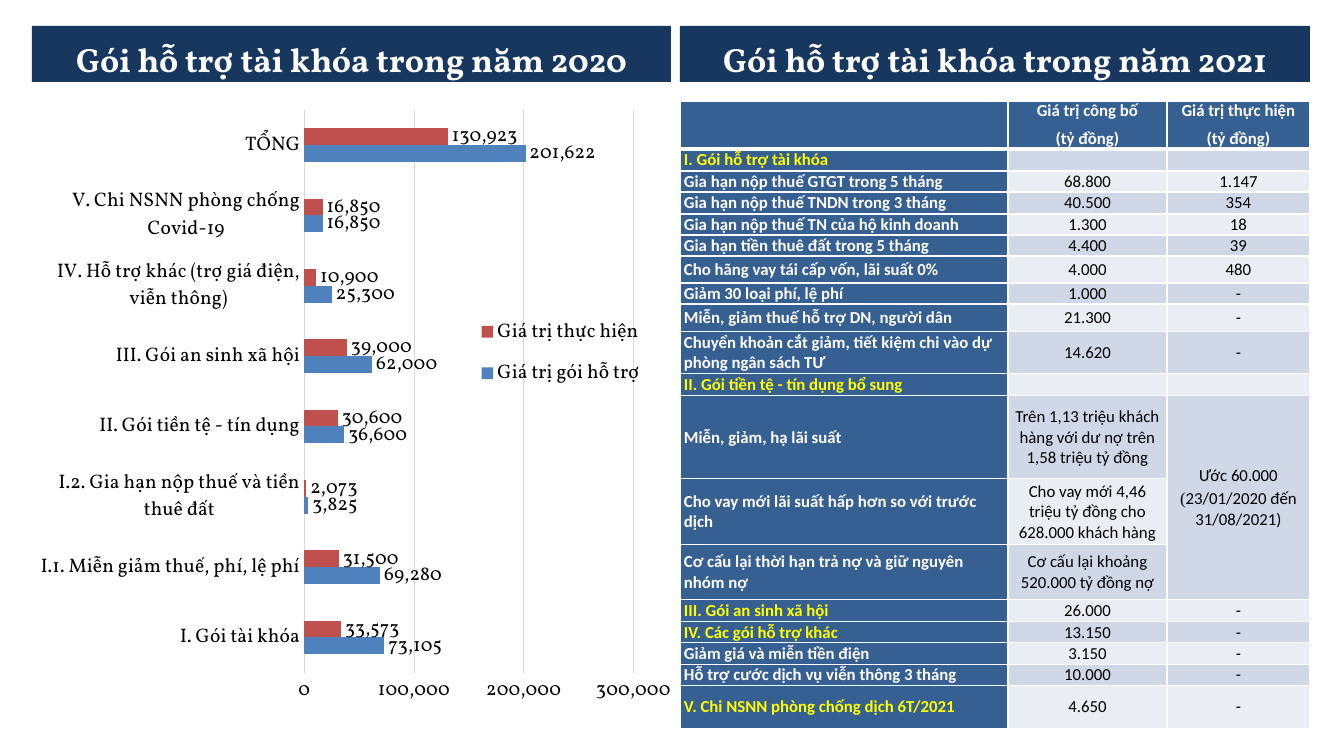
"""Build a slide on the fiscal support packages of 2020 and 2021."""
from dataclasses import dataclass

from lxml.etree import SubElement
from pptx import Presentation
from pptx.chart.data import CategoryChartData
from pptx.dml.color import RGBColor
from pptx.enum.chart import XL_CHART_TYPE, XL_LABEL_POSITION, XL_LEGEND_POSITION, XL_TICK_MARK
from pptx.enum.shapes import MSO_SHAPE
from pptx.enum.text import MSO_ANCHOR, MSO_AUTO_SIZE, PP_ALIGN
from pptx.oxml import parse_xml
from pptx.oxml.ns import nsdecls, qn
from pptx.util import Emu, Pt


@dataclass(frozen=True)
class Theme:
    serif: str = "Vollkorn"
    sans: str = "Calibri"
    roman: str = "Times New Roman"
    navy: str = "17375E"
    head: str = "376092"
    bands: tuple = ("E9EDF4", "D0D8E8")
    plan: str = "4F81BD"
    real: str = "C0504D"
    grid: str = "D9D9D9"
    white: str = "FFFFFF"
    black: str = "000000"
    mark: str = "FFFF00"
    title: int = 24
    label: int = 14
    cell: int = 12


THEME = Theme()
SCALE = 914400 / 100.8

TITLES = ["Gói hỗ trợ tài khóa trong năm 2020", "Gói hỗ trợ tài khóa trong năm 2021"]
BARS = [
    ("I. Gói tài khóa", 73105, 33573),
    ("I.1. Miễn giảm thuế, phí, lệ phí", 69280, 31500),
    ("I.2. Gia hạn nộp thuế và tiền thuê đất", 3825, 2073),
    ("II. Gói tiền tệ - tín dụng", 36600, 30600),
    ("III. Gói an sinh xã hội", 62000, 39000),
    ("IV. Hỗ trợ khác (trợ giá điện, viễn thông)", 25300, 10900),
    ("V. Chi NSNN phòng chống Covid-19", 16850, 16850),
    ("TỔNG", 201622, 130923),
]
SERIES = [("Giá trị gói hỗ trợ", THEME.plan), ("Giá trị thực hiện", THEME.real)]
ROWS = [
    (48, "", "Giá trị công bố\n(tỷ đồng)", "Giá trị thực hiện\n(tỷ đồng)"),
    (22, "I. Gói hỗ trợ tài khóa", "", ""),
    (21, "Gia hạn nộp thuế GTGT trong 5 tháng", "68.800", "1.147"),
    (22, "Gia hạn nộp thuế TNDN trong 3 tháng", "40.500", "354"),
    (21, "Gia hạn nộp thuế TN của hộ kinh doanh", "1.300", "18"),
    (21, "Gia hạn tiền thuê đất trong 5 tháng", "4.400", "39"),
    (27, "Cho hãng vay tái cấp vốn, lãi suất 0%", "4.000", "480"),
    (21, "Giảm 30 loại phí, lệ phí", "1.000", "-"),
    (28, "Miễn, giảm thuế hỗ trợ DN, người dân", "21.300", "-"),
    (42, "Chuyển khoản cắt giảm, tiết kiệm chi vào dự phòng ngân sách TƯ", "14.620", "-"),
    (22, "II. Gói tiền tệ - tín dụng bổ sung", "", ""),
    (83, "Miễn, giảm, hạ lãi suất",
     "Trên 1,13 triệu khách hàng với dư nợ trên 1,58 triệu tỷ đồng", "Ước 60.000"),
    (66, "Cho vay mới lãi suất hấp hơn so với trước dịch",
     "Cho vay mới 4,46 triệu tỷ đồng cho 628.000 khách hàng", ""),
    (55, "Cơ cấu lại thời hạn trả nợ và giữ nguyên nhóm nợ",
     "Cơ cấu lại khoảng 520.000 tỷ đồng nợ", ""),
    (22, "III. Gói an sinh xã hội", "26.000", "-"),
    (21, "IV. Các gói hỗ trợ khác", "13.150", "-"),
    (22, "Giảm giá và miễn tiền điện", "3.150", "-"),
    (21, "Hỗ trợ cước dịch vụ viễn thông 3 tháng", "10.000", "-"),
    (43, "V. Chi NSNN phòng chống dịch 6T/2021", "4.650", "-"),
]
WIDTHS = (328, 159, 143)
MERGE = (11, 13)
DATES = ("(", "23/01/2020 đến 31/08/2021)")


def px(num):
    return Emu(round(num * SCALE))


def box(*nums):
    return [px(num) for num in nums]


def rgb(code):
    return RGBColor.from_string(code)


def style(font, face, size, color, bold=False):
    font.name, font.size, font.bold = face, Pt(size), bold
    font.color.rgb = rgb(color)


def banner(shape, text, area):
    shape.left, shape.top, shape.width, shape.height = box(*area)
    shape.fill.solid()
    shape.fill.fore_color.rgb = rgb(THEME.navy)
    shape.line.fill.background()
    frame = shape.text_frame
    frame.text = text
    frame.word_wrap = True
    frame.auto_size = MSO_AUTO_SIZE.NONE
    frame.vertical_anchor = MSO_ANCHOR.TOP
    para = frame.paragraphs[0]
    para.alignment = PP_ALIGN.CENTER
    para.line_spacing, para.space_before, para.space_after = 1.2, Pt(0), Pt(3)
    style(para.runs[0].font, THEME.serif, THEME.title, THEME.white, True)


def place(owner, spots, inner=False):
    for old in owner.findall(qn("c:layout")):
        owner.remove(old)
    target = '<c:layoutTarget val="inner"/>' if inner else ""
    modes = "".join(f'<c:{key}Mode val="edge"/>' for key in "xy")
    sizes = "".join(f'<c:{key} val="{val}"/>' for key, val in zip("xywh", spots))
    return parse_xml(f'<c:layout {nsdecls("c")}><c:manualLayout>{target}{modes}{sizes}'
                     '</c:manualLayout></c:layout>')


def draw_chart(slide):
    data = CategoryChartData(number_format="#,##0")
    data.categories = [bar[0] for bar in BARS]
    for col, (name, _) in enumerate(SERIES, 1):
        data.add_series(name, [bar[col] for bar in BARS])
    chart = slide.shapes.add_chart(
        XL_CHART_TYPE.BAR_CLUSTERED, *box(32, 84, 639, 647), data).chart
    chart.has_title = False
    style(chart.font, THEME.serif, THEME.label, THEME.black)
    plot = chart.plots[0]
    plot.gap_width, plot.overlap, plot.vary_by_categories = 219, 0, False
    for series, (_, color) in zip(plot.series, SERIES):
        series.format.fill.solid()
        series.format.fill.fore_color.rgb = rgb(color)
        tags = series.data_labels
        tags.show_value = True
        tags.number_format, tags.number_format_is_linked = "#,##0", False
        tags.position = XL_LABEL_POSITION.OUTSIDE_END
        style(tags.font, THEME.serif, THEME.label, THEME.black)
    cats, vals = chart.category_axis, chart.value_axis
    for axis in (cats, vals):
        axis.major_tick_mark = axis.minor_tick_mark = XL_TICK_MARK.NONE
        style(axis.tick_labels.font, THEME.serif, THEME.label, THEME.black)
    vals.minimum_scale, vals.maximum_scale, vals.major_unit = 0, 300000, 100000
    vals.tick_labels.number_format = "#,##0"
    vals.tick_labels.number_format_is_linked = False
    vals.format.line.fill.background()
    for line in (cats.format.line, vals.major_gridlines.format.line):
        line.color.rgb, line.width = rgb(THEME.grid), Pt(0.75)
    chart.has_legend = True
    legend = chart.legend
    legend.position, legend.include_in_layout = XL_LEGEND_POSITION.BOTTOM, False
    style(legend.font, THEME.serif, THEME.label, THEME.black)
    area = chart.element.find(".//" + qn("c:plotArea"))
    area.insert(0, place(area, (0.43, 0.04, 0.52, 0.87), True))
    root = area.getparent().find(qn("c:legend"))
    root.find(qn("c:legendPos")).addnext(place(root, (0.7, 0.34, 0.27, 0.15)))


def paint(cell, row, col):
    cell.margin_left = cell.margin_right = px(4)
    cell.margin_top = cell.margin_bottom = 0
    cell.vertical_anchor = MSO_ANCHOR.MIDDLE
    props = cell._tc.get_or_add_tcPr()
    for side in "LRTB":
        wide = 3 if row == 0 and side == "B" else 1
        edge = SubElement(props, qn(f"a:ln{side}"), w=str(Pt(wide)))
        solid = SubElement(edge, qn("a:solidFill"))
        SubElement(solid, qn("a:srgbClr"), val=THEME.white)
    cell.fill.solid()
    head = row == 0 or col == 0
    cell.fill.fore_color.rgb = rgb(THEME.head if head else THEME.bands[row % 2])


def write(cell, text, row, col):
    head = row == 0 or col == 0
    group = col == 0 and text.startswith(("I", "V"))
    color = THEME.mark if group else THEME.white if head else THEME.black
    cell.text_frame.text = text
    for para in cell.text_frame.paragraphs:
        para.alignment = PP_ALIGN.CENTER if col else PP_ALIGN.LEFT
        para.space_after = Pt(5)
        for run in para.runs:
            style(run.font, THEME.sans, THEME.cell, color, head)
        if not text:
            SubElement(para._p, qn("a:endParaRPr"), sz=str(THEME.cell * 100))


def draw_table(slide):
    tall = sum(row[0] for row in ROWS)
    table = slide.shapes.add_table(
        len(ROWS), len(WIDTHS), *box(680, 101, sum(WIDTHS), tall)).table
    for col, wide in enumerate(WIDTHS):
        table.columns[col].width = px(wide)
    for row, (high, *texts) in enumerate(ROWS):
        table.rows[row].height = px(high)
        for col, text in enumerate(texts):
            paint(table.cell(row, col), row, col)
            write(table.cell(row, col), text, row, col)
    first, last = MERGE
    joint = table.cell(first, 2)
    joint.merge(table.cell(last, 2))
    para = joint.text_frame.add_paragraph()
    para.alignment = PP_ALIGN.CENTER
    for text, face in zip(DATES, (THEME.roman, THEME.sans)):
        run = para.add_run()
        run.text = text
        style(run.font, face, THEME.cell, THEME.black)
    for para in joint.text_frame.paragraphs:
        para.space_after = Pt(2)


def main():
    deck = Presentation()
    deck.slide_width, deck.slide_height = box(1344, 756)
    slide = deck.slides.add_slide(deck.slide_layouts[5])
    draw_chart(slide)
    banner(slide.shapes.title, TITLES[0], (32, 26, 639, 56))
    draw_table(slide)
    right = slide.shapes.add_shape(MSO_SHAPE.RECTANGLE, *box(680, 26, 630, 56))
    right.shadow.inherit = False
    banner(right, TITLES[1], (680, 26, 630, 56))
    deck.save("out.pptx")


if __name__ == "__main__":
    main()
